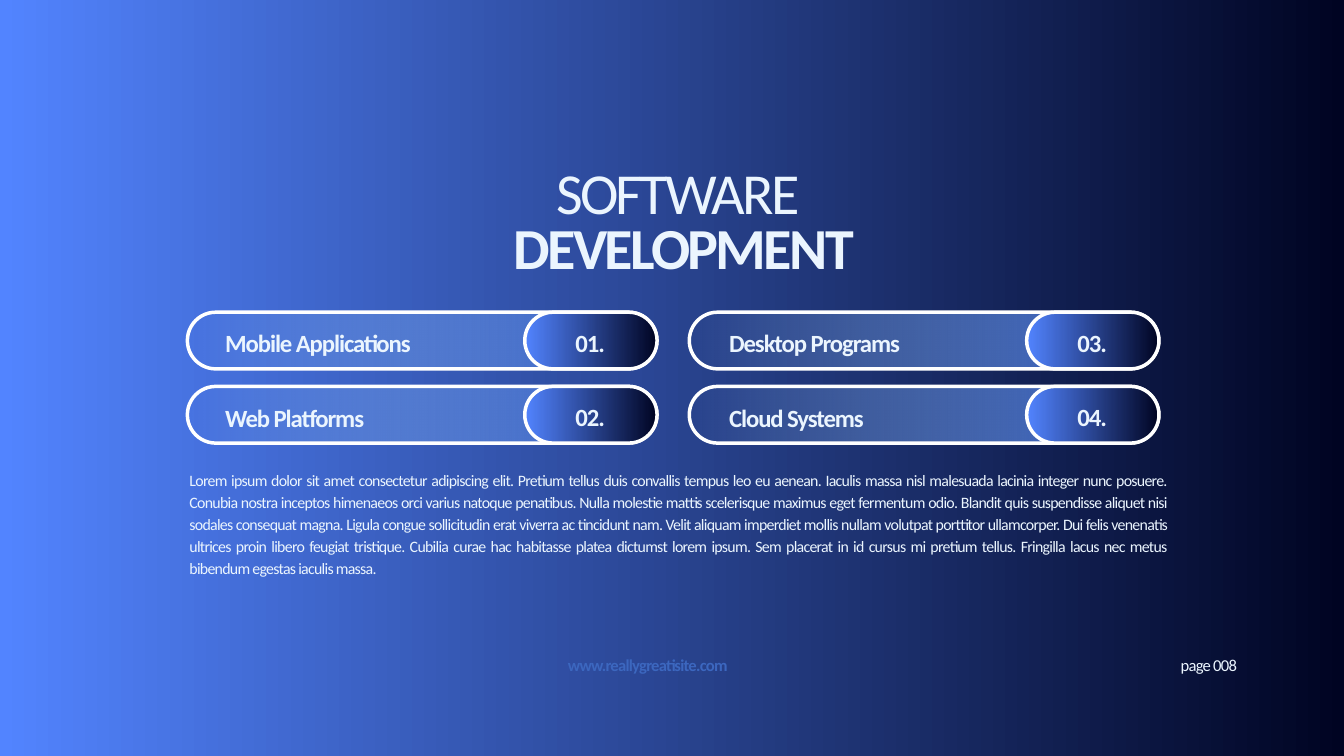
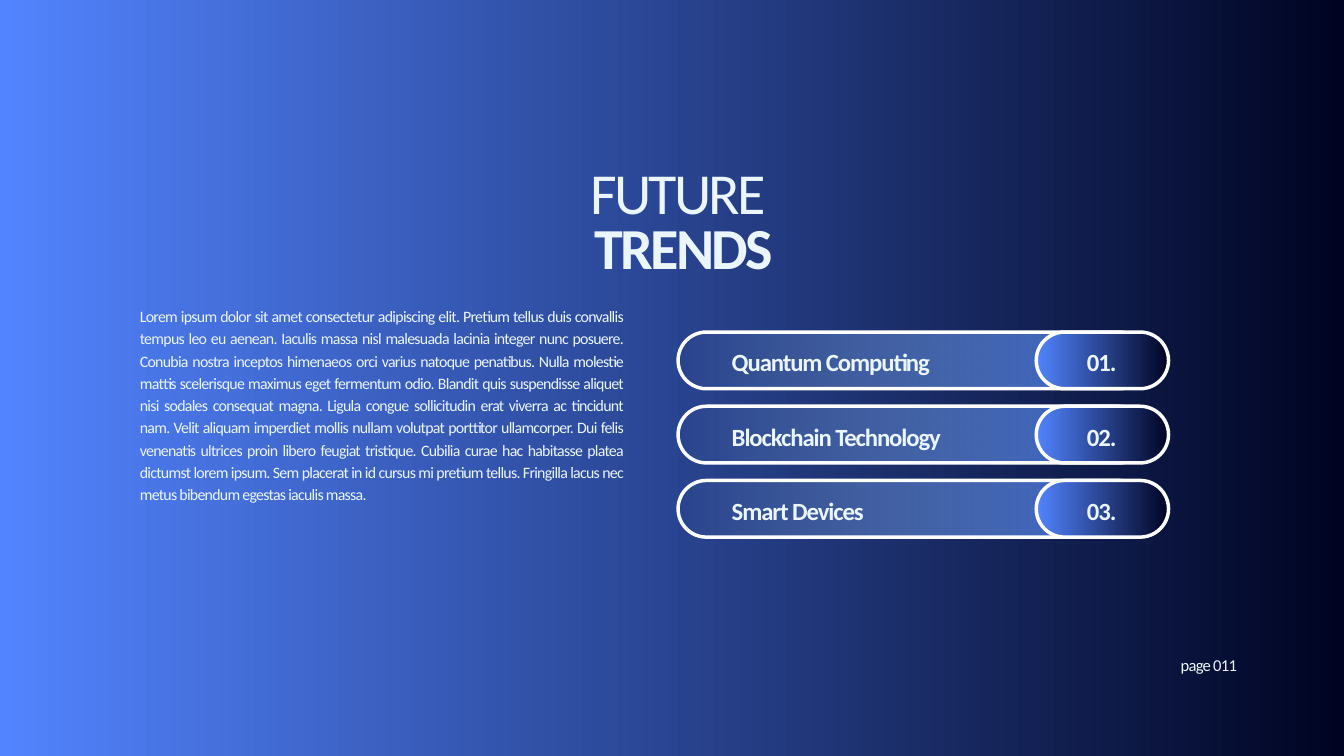
"""Build two slides on software topics: a title, numbered capsules and a body text."""
from pptx import Presentation
from pptx.dml.color import RGBColor
from pptx.enum.shapes import MSO_SHAPE as Shape
from pptx.enum.text import MSO_AUTO_SIZE as AutoSize, PP_ALIGN as Align
from pptx.oxml.xmlchemy import OxmlElement
from pptx.util import Pt

rgb = RGBColor.from_string
FONT = "Calibri"
PALE, WHITE, LINK = "EBF5FE", "FFFFFF", "3C67BF"
NIGHT = ("5284FF", "000422")
GLASS = ("9FCDFF", "3964CD")

TITLE = dict(size=62.2, leading=87, tracking=-2.9, align=Align.CENTER)
ITEM = dict(size=26.5, leading=37.1, tracking=-1.2, bold=True)
BODY = dict(size=17, leading=23.8, tracking=-0.8, align=Align.JUSTIFY)
FOOTER = dict(size=17.8, leading=24.9, tracking=-0.8)

CAPSULE_WIDTH, CAP_WIDTH, CAPSULE_HEIGHT = 503, 141.75, 60.75
ROW_PITCH, TEXT_DROP = 79.5, 11
FOOTER_TOP = 697.7

LOREM = (
    "Lorem ipsum dolor sit amet consectetur adipiscing elit. Pretium tellus duis convallis "
    "tempus leo eu aenean. Iaculis massa nisl malesuada lacinia integer nunc posuere. "
    "Conubia nostra inceptos himenaeos orci varius natoque penatibus. Nulla molestie mattis "
    "scelerisque maximus eget fermentum odio. Blandit quis suspendisse aliquet nisi sodales "
    "consequat magna. Ligula congue sollicitudin erat viverra ac tincidunt nam. Velit aliquam "
    "imperdiet mollis nullam volutpat porttitor ullamcorper. Dui felis venenatis ultrices "
    "proin libero feugiat tristique. Cubilia curae hac habitasse platea dictumst lorem ipsum. "
    "Sem placerat in id cursus mi pretium tellus. Fringilla lacus nec metus bibendum egestas "
    "iaculis massa."
)

TOPICS = [
    dict(
        title=("SOFTWARE", "DEVELOPMENT"), page="page 008", site="www.reallygreatisite.com",
        body=(203, 500.4, 1047, 138.2), top=334.5, label_pitch=81.25, cap_offset=361.5,
        columns=[
            (200.75, 241.25, ["Mobile Applications", "Web Platforms"]),
            (738.5, 781.25, ["Desktop Programs", "Cloud Systems"]),
        ],
    ),
    dict(
        title=("FUTURE", "TRENDS"), page="page 011", site=None,
        body=(149.8, 325.4, 517.7, 277.9), top=355.75, label_pitch=ROW_PITCH, cap_offset=383.75,
        columns=[
            (726.5, 784, ["Quantum Computing", "Blockchain Technology", "Smart Devices"]),
        ],
    ),
]


def write(slide, text, left, top, width, height, *, size, leading, tracking,
          bold=False, color=PALE, align=Align.LEFT):
    frame = slide.shapes.add_textbox(Pt(left), Pt(top), Pt(width), Pt(height)).text_frame
    frame.margin_left = frame.margin_right = frame.margin_top = frame.margin_bottom = 0
    frame.word_wrap = True
    frame.auto_size = AutoSize.SHAPE_TO_FIT_TEXT
    paragraph = frame.paragraphs[0]
    paragraph.alignment = align
    paragraph.line_spacing = Pt(leading)
    run = paragraph.add_run()
    run.text = text
    run.font.name = FONT
    run.font.size = Pt(size)
    run.font.bold = bold
    run.font.color.rgb = rgb(color)
    run._r.get_or_add_rPr().set("spc", str(round(tracking * 100)))


def blend(fill, colors):
    fill.gradient()
    fill.gradient_angle = 0
    for stop, position, color in zip(fill.gradient_stops, (0, 1), colors):
        stop.position = position
        stop.color.rgb = rgb(color)


deck = Presentation()
deck.slide_width, deck.slide_height = Pt(1440), Pt(810)

for topic in TOPICS:
    slide = deck.slides.add_slide(deck.slide_layouts[6])
    blend(slide.background.fill, NIGHT)

    first, second = topic["title"]
    write(slide, first, 544.3, 154.8, 364.3, 84.2, **TITLE)
    write(slide, second, 475.2, 214.6, 514.8, 84.2, bold=True, **TITLE)
    write(slide, LOREM, *topic["body"], **BODY)

    number = 0
    for capsule_left, label_left, labels in topic["columns"]:
        cap_left = capsule_left + topic["cap_offset"]
        for row, label in enumerate(labels):
            number += 1
            top = topic["top"] + row * ROW_PITCH
            label_top = topic["top"] + TEXT_DROP + row * topic["label_pitch"]
            for left, width, colors in ((capsule_left, CAPSULE_WIDTH, GLASS),
                                        (cap_left, CAP_WIDTH, NIGHT)):
                capsule = slide.shapes.add_shape(
                    Shape.ROUNDED_RECTANGLE, Pt(left), Pt(top), Pt(width), Pt(CAPSULE_HEIGHT))
                capsule.adjustments[0] = 0.5
                capsule.shadow.inherit = False
                capsule.line.color.rgb = rgb(WHITE)
                capsule.line.width = Pt(3.75)
                blend(capsule.fill, colors)
                if colors == GLASS:
                    alpha = OxmlElement("a:alpha")
                    alpha.set("val", "0")
                    capsule.element.xpath("./p:spPr/a:gradFill//a:srgbClr")[0].append(alpha)
            write(slide, label, label_left, label_top, 327.6, 35.3, **ITEM)
            write(slide, f"{number:02}.", cap_left + 35.25, top + TEXT_DROP, 69.75, 35.3,
                  align=Align.CENTER, **ITEM)

    if topic["site"]:
        write(slide, topic["site"], 608.4, FOOTER_TOP, 260, 23.5,
              bold=True, color=LINK, **FOOTER)
    write(slide, topic["page"], 1265, FOOTER_TOP, 93.6, 23.5, **FOOTER)

deck.save("out.pptx")
